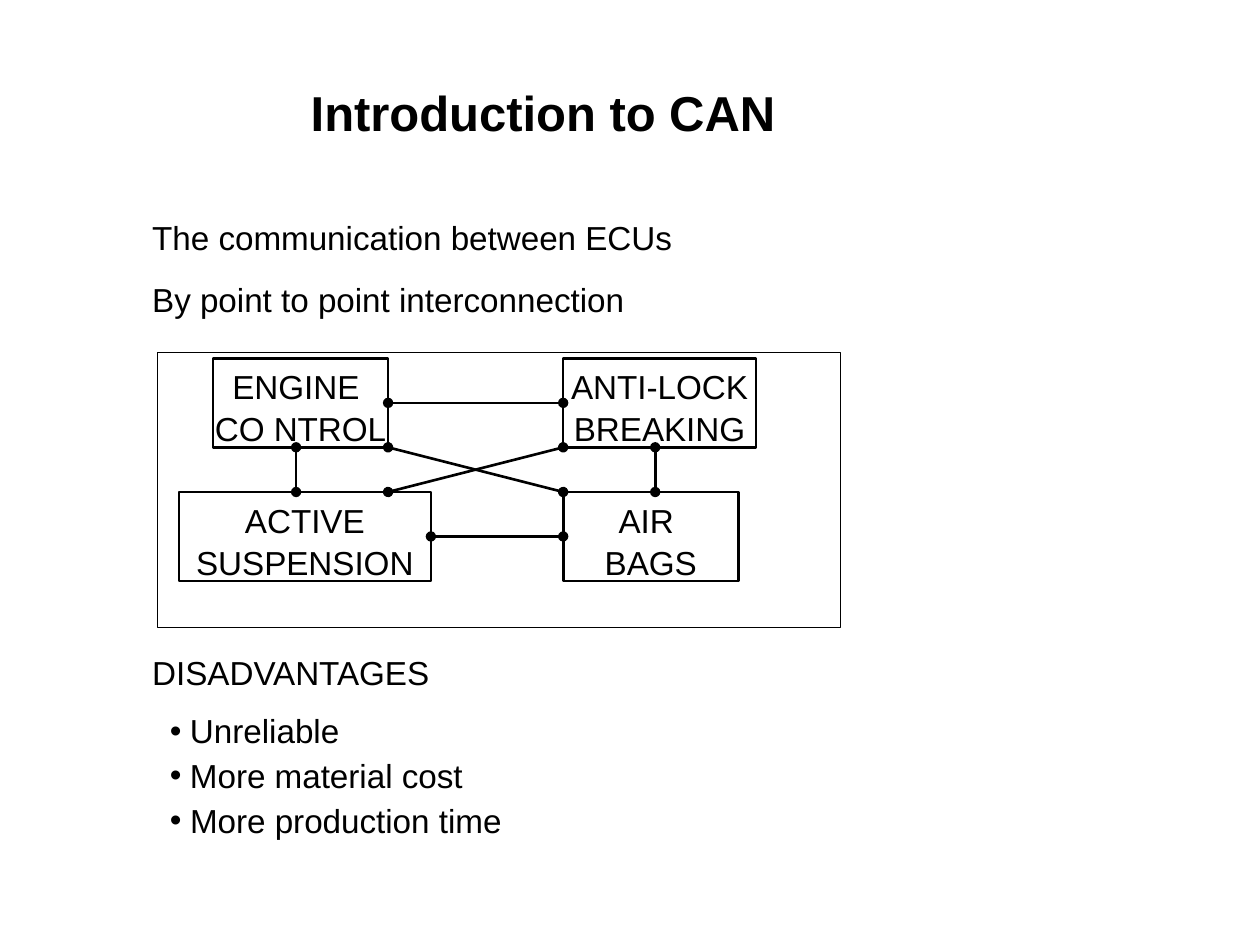
from dataclasses import dataclass

from lxml.etree import SubElement
from pptx import Presentation
from pptx.dml.color import RGBColor
from pptx.enum.shapes import MSO_CONNECTOR as Connector, MSO_SHAPE as Preset
from pptx.enum.text import MSO_ANCHOR as Anchor, PP_ALIGN as Align
from pptx.oxml.ns import qn
from pptx.util import Inches, Pt

COLUMNS, ROWS = 100, 75


@dataclass(frozen=True)
class Theme:
    font: str = "Arial"
    ink: RGBColor = RGBColor(0, 0, 0)
    title: float = 28
    body: float = 19
    thick: float = 1.5
    thin: float = 0.75
    spacing: float = 1.05
    title_spacing: float = 0.9
    bullet_indent: float = 0.16


@dataclass(frozen=True)
class Area:
    column: float
    row: float
    columns: float
    rows: float

    @property
    def right(self) -> float:
        return self.column + self.columns

    @property
    def bottom(self) -> float:
        return self.row + self.rows

    @property
    def middle(self) -> float:
        return self.row + self.rows / 2


@dataclass(frozen=True)
class Unit:
    area: Area
    lines: tuple[str, ...]


@dataclass(frozen=True)
class Link:
    start: tuple[float, float]
    end: tuple[float, float]


THEME = Theme()
deck = Presentation()
deck.slide_width, deck.slide_height = Inches(10), Inches(7.5)
page = deck.slides.add_slide(deck.slide_layouts[6])


def across(columns: float) -> int:
    return round(deck.slide_width * columns / COLUMNS)


def down(rows: float) -> int:
    return round(deck.slide_height * rows / ROWS)


def place(area: Area) -> tuple[int, int, int, int]:
    return across(area.column), down(area.row), across(area.columns), down(area.rows)


def write(para, text: str, size: float, spacing: float, bold: bool = False) -> None:
    para.line_spacing = spacing
    span = para.add_run()
    span.text = text
    span.font.name, span.font.size, span.font.bold = THEME.font, Pt(size), bold
    span.font.color.rgb = THEME.ink


def add_line_of_text(area: Area, text: str, bullet: bool = False) -> None:
    box = page.shapes.add_textbox(*place(area))
    box.text_frame.word_wrap = not bullet
    para = box.text_frame.paragraphs[0]
    if bullet:
        properties = para._p.get_or_add_pPr()
        indent = Inches(THEME.bullet_indent)
        properties.set("marL", str(indent))
        properties.set("indent", str(-indent))
        SubElement(properties, qn("a:buFont"), typeface=THEME.font)
        SubElement(properties, qn("a:buChar"), char="•")
    write(para, text, THEME.body, THEME.spacing)


def add_title(area: Area, text: str) -> None:
    box = page.shapes.add_textbox(*place(area))
    box.text_frame.word_wrap = True
    box.text_frame.vertical_anchor = Anchor.MIDDLE
    para = box.text_frame.paragraphs[0]
    para.alignment = Align.CENTER
    write(para, text, THEME.title, THEME.title_spacing, bold=True)


def add_frame(area: Area, width: float):
    shape = page.shapes.add_shape(Preset.RECTANGLE, *place(area))
    shape.shadow.inherit = False
    shape.fill.background()
    shape.line.color.rgb = THEME.ink
    shape.line.width = Pt(width)
    return shape


def add_unit(unit: Unit) -> None:
    frame = add_frame(unit.area, THEME.thick).text_frame
    frame.word_wrap = False
    frame.vertical_anchor = Anchor.TOP
    for index, text in enumerate(unit.lines):
        para = frame.add_paragraph() if index else frame.paragraphs[0]
        para.alignment = Align.CENTER
        write(para, text, THEME.body, THEME.spacing)


def add_link(link: Link) -> None:
    (left, top), (right, bottom) = link.start, link.end
    line = page.shapes.add_connector(
        Connector.STRAIGHT, across(left), down(top), across(right), down(bottom))
    line.line.color.rgb = THEME.ink
    line.line.width = Pt(THEME.thick)
    stroke = line.line._get_or_add_ln()
    for end in ("a:headEnd", "a:tailEnd"):
        SubElement(stroke, qn(end), type="oval")
    SubElement(line._element.spPr, qn("a:effectLst"))


def main() -> None:
    upper, lower, height = 28.45, 39.05, 7.05
    engine = Area(16.9, upper, 13.9, height)
    brakes = Area(44.7, upper, 15.3, height)
    suspension = Area(14.2, lower, 20, height)
    bags = Area(44.7, lower, 13.9, height)
    left_link, right_link = 23.5, 52

    add_title(Area(0, 1.9, 86.2, 14.5), "Introduction to CAN")
    for row, text in (
        (16.6, "The communication between ECUs"),
        (21.5, "By point to point interconnection"),
        (51.1, "DISADVANTAGES"),
    ):
        add_line_of_text(Area(11.1, row, 72.4, 4.2), text)

    for unit in (
        Unit(engine, ("ENGINE ", "CO NTROL")),
        Unit(brakes, ("ANTI-LOCK", "BREAKING")),
        Unit(suspension, ("ACTIVE", "SUSPENSION")),
        Unit(bags, ("AIR ", "BAGS")),
    ):
        add_unit(unit)
    add_frame(Area(12.5, 28, 54.2, 21.8), THEME.thin)

    for link in (
        Link((left_link, engine.bottom), (left_link, suspension.row)),
        Link((engine.right, engine.middle), (brakes.column, brakes.middle)),
        Link((right_link, brakes.bottom), (right_link, bags.row)),
        Link((suspension.right, suspension.middle), (bags.column, bags.middle)),
        Link((engine.right, engine.bottom), (bags.column, bags.row)),
        Link((engine.right, suspension.row), (brakes.column, brakes.bottom)),
    ):
        add_link(link)

    drawbacks = (("Unreliable", 15.7), ("More material cost", 25.7),
                 ("More production time", 28.8))
    for index, (text, columns) in enumerate(drawbacks):
        add_line_of_text(Area(12.5, 55.75 + 3.55 * index, columns, 4.2), text, bullet=True)

    deck.save("out.pptx")


if __name__ == "__main__":
    main()
